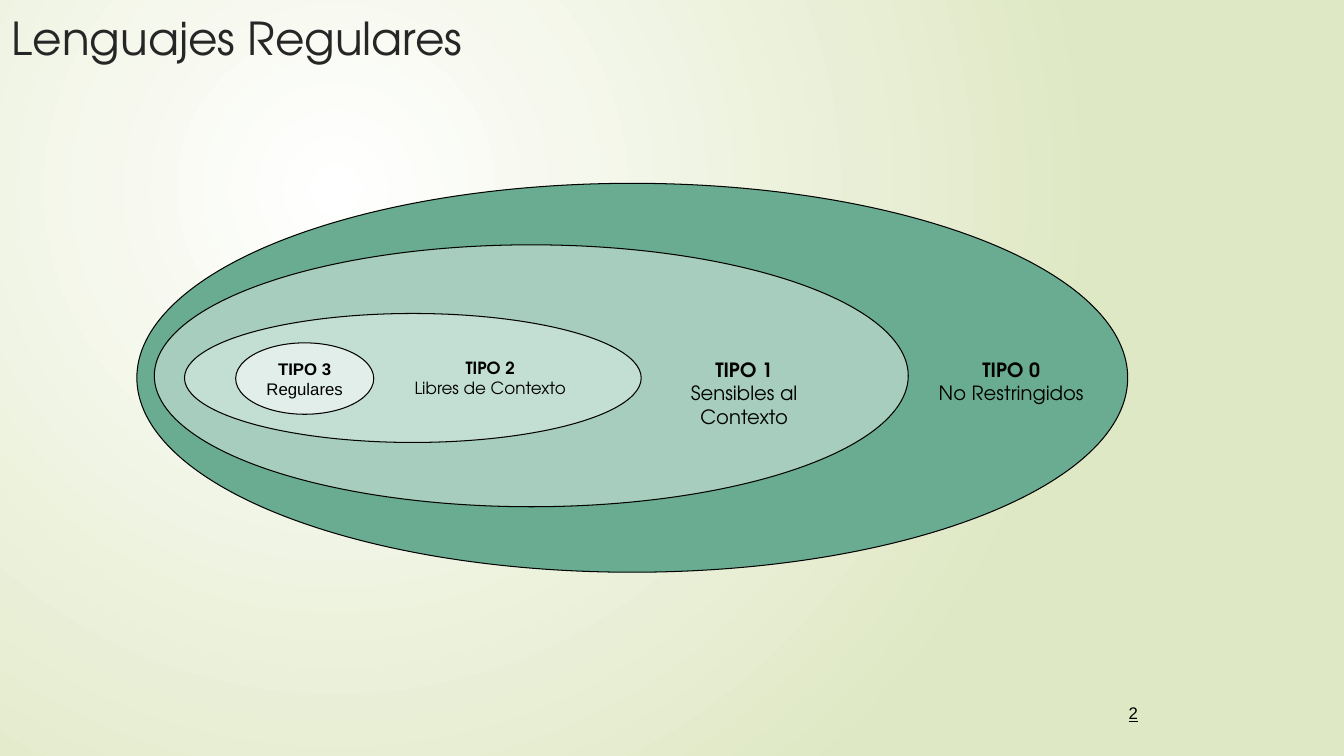
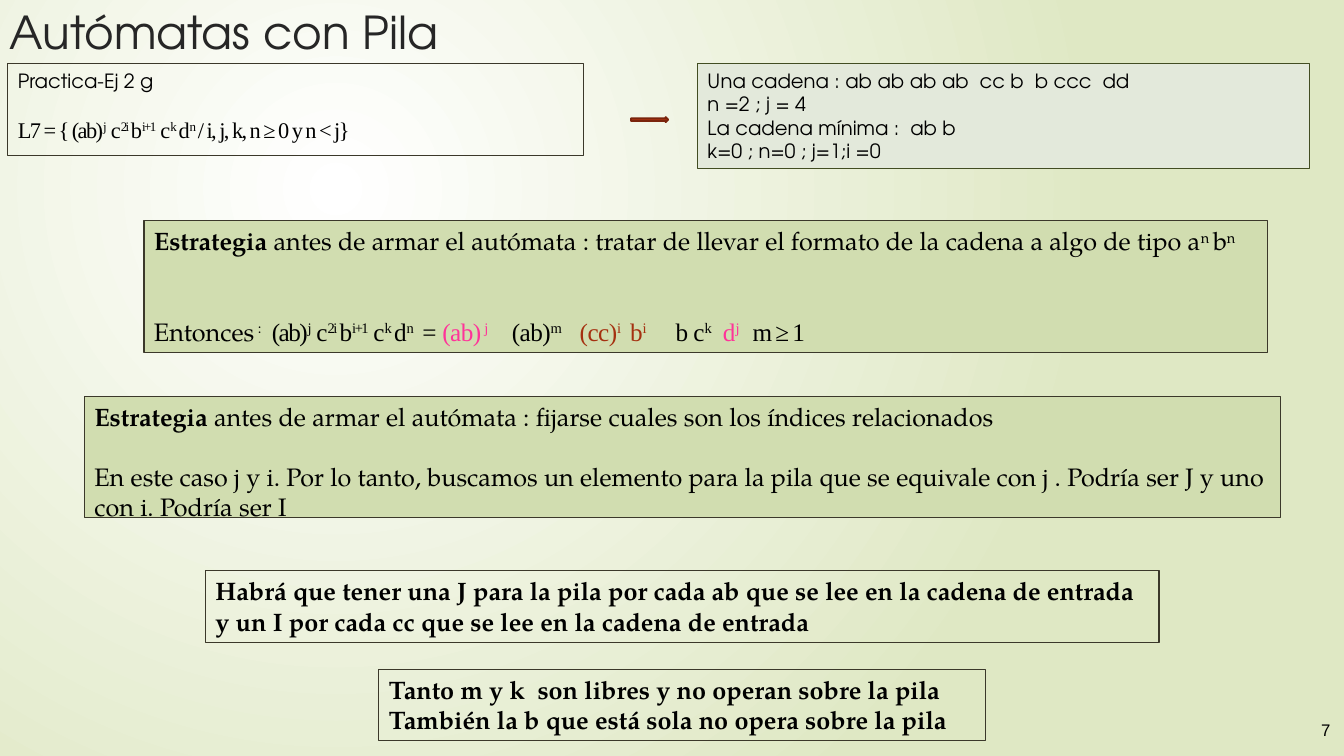
from lxml import etree
from pptx import Presentation
from pptx.dml.color import RGBColor
from pptx.enum.shapes import MSO_SHAPE
from pptx.enum.text import MSO_ANCHOR, PP_ALIGN
from pptx.oxml import parse_xml
from pptx.oxml.ns import nsdecls, qn
from pptx.util import Cm, Pt

BLACK = RGBColor(0x00, 0x00, 0x00)
TITLE_INK = RGBColor(0x26, 0x26, 0x26)
GLOW = RGBColor(0xFF, 0xFF, 0xFF)
PALE_LIME = RGBColor(0xDF, 0xE8, 0xC4)
PANEL_LINE = RGBColor(0x3B, 0x38, 0x2A)
PANEL_FILL = RGBColor(0xD1, 0xDD, 0xB0)
EXAMPLE_LINE = RGBColor(0x42, 0x4D, 0x22)
EXAMPLE_FILL = RGBColor(0xE3, 0xE9, 0xDB)
RUST = RGBColor(0xA5, 0x30, 0x10)
DARK_RUST = RGBColor(0x7A, 0x24, 0x0C)
PINK = RGBColor(0xFF, 0x33, 0x99)
TYPE_FILLS = [RGBColor(0x6A, 0xAC, 0x91), RGBColor(0xA6, 0xCD, 0xBD),
              RGBColor(0xC3, 0xDE, 0xD3), RGBColor(0xE1, 0xEE, 0xE9)]

SANS, GEOMETRIC = "Arial", "TeX Gyre Adventor"
BOOK, MATH = "TeX Gyre Pagella", "Times New Roman"
TIGHT, SNUG = -1.1, -0.4
WORD = "(ab)^j^ c^2i ^b^i+1^ c^k ^d^n ^"


def place(box):
    """Turn a box in centimetres into lengths."""
    return [Cm(length) for length in box]


def seg(text, **style):
    """Pair marked-up text (superscripts between ^ signs) with its style."""
    return text, style


def add_segment(paragraph, text, size, font, color=BLACK, bold=False,
                underline=False, spacing=None):
    """Add runs for one segment, raising every part between ^ signs."""
    for index, part in enumerate(text.split("^")):
        if not part:
            continue
        run = paragraph.add_run()
        run.text = part
        run.font.size, run.font.name = Pt(size), font
        run.font.bold, run.font.color.rgb = bold, color
        if underline:
            run.font.underline = True
        properties = run.font._element
        if index % 2:
            properties.set("baseline", "30000")
        if spacing:
            properties.set("spc", str(round(spacing * 100)))


def write(shape, paragraphs, size, font, align=PP_ALIGN.LEFT,
          anchor=MSO_ANCHOR.TOP, wrap=True, gap=0):
    """Fill a shape with paragraphs; gap is the space above the last one."""
    frame = shape.text_frame
    frame.word_wrap, frame.vertical_anchor = wrap, anchor
    for index, segments in enumerate(paragraphs):
        paragraph = frame.add_paragraph() if index else frame.paragraphs[0]
        paragraph.alignment = align
        for text, style in segments:
            add_segment(paragraph, text, **{"size": size, "font": font, **style})
    if gap:
        paragraph.space_before = Pt(gap)
    return paragraph


def set_tabs(paragraph, stops):
    """Give a paragraph left tab stops, in centimetres."""
    tabs = etree.SubElement(paragraph._p.get_or_add_pPr(), qn("a:tabLst"))
    for stop in stops:
        etree.SubElement(tabs, qn("a:tab"), pos=str(Cm(stop)), algn="l")


def add_figure(slide, kind, box, fill, line, width=0.75):
    """Add a flat preset shape; fill None leaves it open."""
    shape = slide.shapes.add_shape(kind, *place(box))
    shape.shadow.inherit = False
    if fill is None:
        shape.fill.background()
    else:
        shape.fill.solid()
        shape.fill.fore_color.rgb = fill
    shape.line.color.rgb, shape.line.width = line, Pt(width)
    return shape


def add_panel(slide, box, paragraphs, size=18, font=BOOK, fill=None,
              line=PANEL_LINE, gap=0):
    """Add a framed text panel and return its last paragraph."""
    panel = add_figure(slide, MSO_SHAPE.RECTANGLE, box, fill, line)
    return write(panel, paragraphs, size, font, gap=gap)


def add_text(slide, box, paragraphs, size, font, **layout):
    """Add a plain text box."""
    write(slide.shapes.add_textbox(*place(box)), paragraphs, size, font, **layout)


def paint_background(slide):
    """Paint the radial glow shared by the slides."""
    slide.background.fill.solid()
    solid = slide.background._cSld.find(".//" + qn("a:solidFill"))
    solid.getparent().replace(solid, parse_xml(
        f'<a:gradFill {nsdecls("a")} rotWithShape="1"><a:gsLst>'
        f'<a:gs pos="0"><a:srgbClr val="{GLOW}"/></a:gs>'
        f'<a:gs pos="100000"><a:srgbClr val="{PALE_LIME}"/></a:gs></a:gsLst>'
        '<a:path path="circle"><a:fillToRect l="50000" t="50000" r="100000" '
        'b="100000"/></a:path></a:gradFill>'))


def start_slide(deck, title, title_at, number, number_at, underline=False):
    """Start a slide with background, title and page number."""
    slide = deck.slides.add_slide(deck.slide_layouts[6])
    paint_background(slide)
    add_text(slide, (*title_at, 24.97, 1.9), [[seg(title, color=TITLE_INK)]],
             32.4, GEOMETRIC)
    add_text(slide, (*number_at, 2.69, 1.27),
             [[seg(number, underline=underline)]], 12, SANS,
             align=PP_ALIGN.RIGHT, anchor=MSO_ANCHOR.MIDDLE)
    return slide


def add_hierarchy(slide, box):
    """Nest the four language types inside the outer box."""
    left, top, width, height = box
    ovals = [(0, 0, width, height), (0.44, 1.55, 19, 6.6),
             (1.2, 3.28, 11.51, 3.25), (2.49, 4.02, 3.48, 1.8)]
    for (x, y, w, h), fill in zip(ovals, TYPE_FILLS):
        oval = add_figure(slide, MSO_SHAPE.OVAL, (left + x, top + y, w, h),
                          fill, BLACK)
    write(oval, [[seg("TIPO 3", bold=True)], [seg("Regulares")]], 12, SANS,
          align=PP_ALIGN.CENTER, anchor=MSO_ANCHOR.MIDDLE, wrap=False)
    labels = [(6.43, 12, "TIPO 2", "Libres de Contexto"),
              (12.83, 14, "TIPO 1", "Sensibles al Contexto"),
              (19.56, 14, "TIPO 0", "No Restringidos")]
    for x, size, name, family in labels:
        add_text(slide, (left + x, top + 4.27, 4.95, 2.06),
                 [[seg(name, bold=True)], [seg(family)]], size, GEOMETRIC,
                 align=PP_ALIGN.CENTER)


def add_exercise(slide, box):
    """Place the exercise, an arrow and the example strings across a box."""
    left, top, width, height = box
    add_panel(slide, (left, top, 14.5, 2.31), [
        [seg("Practica-Ej 2 g")],
        [seg("L7 = { " + WORD + "/ i, j, k, n ≥ 0 y n < j}",
             size=16, font=MATH, spacing=TIGHT)],
    ], 14, GEOMETRIC, gap=17)
    add_figure(slide, MSO_SHAPE.RIGHT_ARROW, (left + 15.7, top + 1.35, 0.94, 0.13),
               RUST, DARK_RUST, 1.25)
    examples = ["Una cadena : ab ab ab ab  cc b  b ccc  dd", "n =2 ; j = 4",
                "La cadena mínima :  ab b", "k=0 ; n=0 ; j=1;i =0"]
    add_panel(slide, (left + width - 15.42, top, 15.42, height),
              [[seg(line)] for line in examples], 14, GEOMETRIC,
              EXAMPLE_FILL, EXAMPLE_LINE)


def add_rewriting(slide, box):
    """Place the strategy that rewrites the word, with its formula."""
    formula = [seg("Entonces^ :^\t")]
    parts = [(WORD + " ", BLACK, TIGHT), ("= ", BLACK, SNUG),
             ("(ab)^ j^\t", PINK, SNUG), ("(ab)^m^\t", BLACK, SNUG),
             ("(cc)^i ^ b^i^\t", RUST, SNUG), ("b c^k^\t", BLACK, SNUG),
             ("d^j^\t", PINK, SNUG), ("m ≥ 1", BLACK, TIGHT)]
    formula += [seg(text, font=MATH, color=color, spacing=spacing)
                for text, color, spacing in parts]
    last = add_panel(slide, box, [
        [seg("Estrategia", bold=True),
         seg(" antes de armar el autómata : tratar de llevar el formato de la "
             "cadena a algo de tipo a^n ^b^n")],
        formula,
    ], fill=PANEL_FILL, gap=43)
    set_tabs(last, [2.97, 9.02, 10.73, 13.15, 14.34, 15.09])


def add_indices(slide, box):
    """Place the strategy about related indices."""
    add_panel(slide, box, [
        [seg("Estrategia", bold=True),
         seg(" antes de armar el autómata : fijarse cuales son los índices "
             "relacionados")],
        [seg("En este caso j y i. Por lo tanto, buscamos un elemento para la pila "
             "que se equivale con j . Podría ser J y uno con i. Podría ser I")],
    ], fill=PANEL_FILL, gap=21.5)


def add_conclusion(slide, box, lines):
    """Place a bold conclusion in an open frame."""
    add_panel(slide, box, [[seg(line, bold=True)] for line in lines])


def build_languages(deck):
    """Build the slide on the hierarchy of languages."""
    slide = start_slide(deck, "Lenguajes Regulares", (0.05, 0.13),
                        "2", (26.24, 17.32), underline=True)
    add_hierarchy(slide, (3.45, 4.62, 24.97, 9.8))


def build_automata(deck):
    """Build the slide on pushdown automata."""
    slide = start_slide(deck, "Autómatas con Pila", (0, -0.03),
                        "7", (31.09, 17.75))
    add_exercise(slide, (0.2, 1.6, 32.8, 2.64))
    add_rewriting(slide, (3.63, 5.56, 28.32, 3.33))
    add_indices(slide, (2.13, 9.98, 30.15, 3.07))
    add_conclusion(slide, (5.18, 14.38, 24.03, 1.8), [
        "Habrá que tener una J para la pila por cada ab que se lee en la cadena "
        "de entrada y un I por cada cc que se lee en la cadena de entrada"])
    add_conclusion(slide, (9.55, 16.87, 15.29, 1.8), [
        "Tanto m y k  son libres y no operan sobre la pila",
        "También la b que está sola no opera sobre la pila"])


def main():
    """Build and save the deck."""
    deck = Presentation()
    deck.slide_width, deck.slide_height = Cm(33.87), Cm(19.05)
    build_languages(deck)
    build_automata(deck)
    deck.save("out.pptx")


main()
